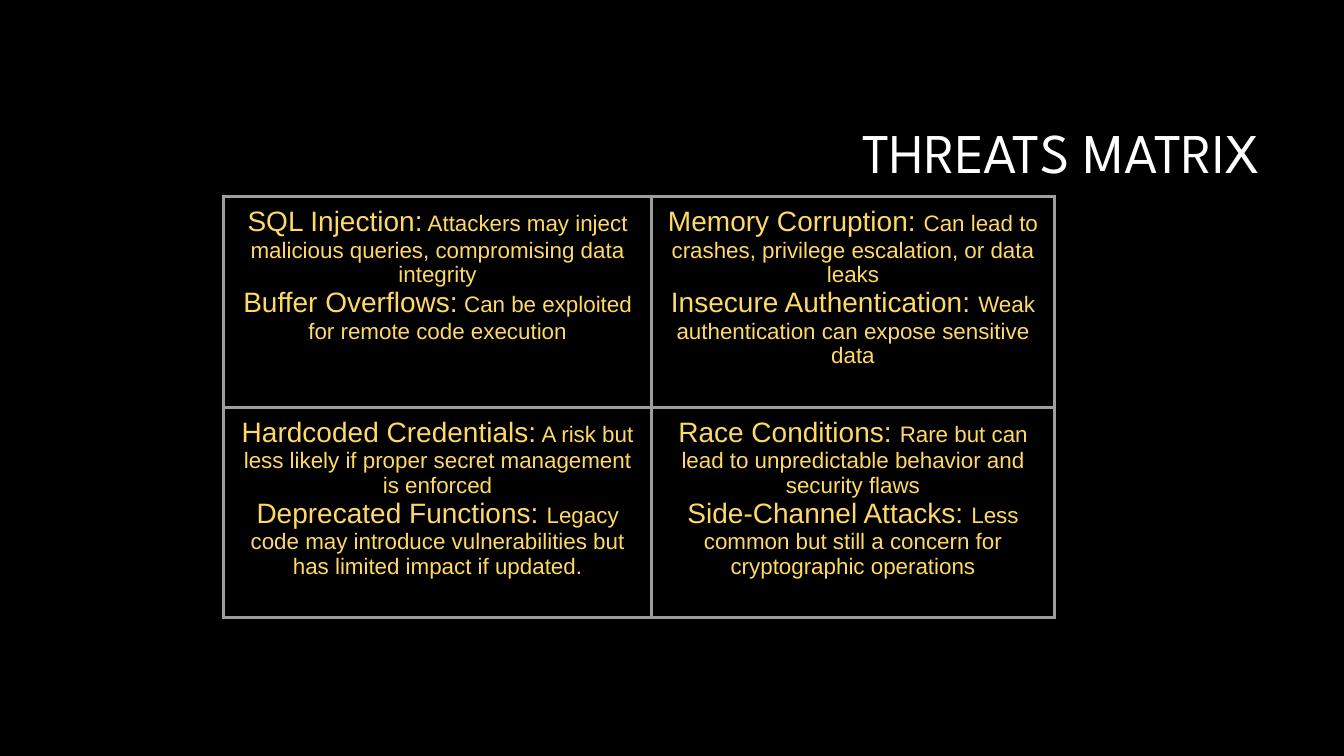
from lxml.etree import SubElement
from pptx import Presentation
from pptx.dml.color import RGBColor
from pptx.enum.text import MSO_ANCHOR, PP_ALIGN
from pptx.oxml.ns import qn
from pptx.util import Inches, Pt

BLACK, WHITE, GOLD, GREY = "000000", "FFFFFF", "FFD966", "9E9E9E"
COLUMN_WIDTHS = (4.24, 4)
ROW_HEIGHT = 2.09

# Each cell holds (threat, description) pairs.
THREATS = [
    [
        [("SQL Injection:",
          " Attackers may inject malicious queries, compromising data integrity"),
         ("Buffer Overflows:", " Can be exploited for remote code execution")],
        [("Memory Corruption: ",
          "Can lead to crashes, privilege escalation, or data leaks"),
         ("Insecure Authentication: ",
          "Weak authentication can expose sensitive data")],
    ],
    [
        [("Hardcoded Credentials:",
          " A risk but less likely if proper secret management is enforced"),
         ("Deprecated Functions: ",
          "Legacy code may introduce vulnerabilities but has limited impact if updated.")],
        [("Race Conditions: ",
          "Rare but can lead to unpredictable behavior and security flaws"),
         ("Side-Channel Attacks: ",
          "Less common but still a concern for cryptographic operations")],
    ],
]


def paint(fill, color):
    fill.solid()
    fill.fore_color.rgb = RGBColor.from_string(color)


def set_font(font, name, color):
    font.name = name
    font.color.rgb = RGBColor.from_string(color)


def set_title(page, text):
    title = page.shapes.title
    title.left, title.top = Inches(3.17), Inches(0.84)
    title.width, title.height = Inches(9.42), Inches(1.41)
    frame = title.text_frame
    frame.text = text
    frame.vertical_anchor = MSO_ANCHOR.MIDDLE
    para = frame.paragraphs[0]
    para.alignment = PP_ALIGN.RIGHT
    para.line_spacing = 0.9
    para.font.size = Pt(40)
    set_font(para.font, "League Spartan", WHITE)


def add_borders(cell, color, points):
    properties = cell._tc.get_or_add_tcPr()
    for side in ("a:lnL", "a:lnR", "a:lnT", "a:lnB"):
        line = SubElement(properties, qn(side), w=str(Pt(points)))
        solid = SubElement(line, qn("a:solidFill"))
        SubElement(solid, qn("a:srgbClr"), val=color)


def fill_cell(cell, threats):
    add_borders(cell, GREY, 2.25)
    paint(cell.fill, BLACK)
    cell.margin_left = cell.margin_right = Inches(0.1)
    cell.margin_top = cell.margin_bottom = Inches(0.1)
    frame = cell.text_frame
    for index, threat in enumerate(threats):
        para = frame.add_paragraph() if index else frame.paragraphs[0]
        para.alignment = PP_ALIGN.CENTER
        for text, size in zip(threat, (20, 16)):
            span = para.add_run()
            span.text = text
            span.font.size = Pt(size)
            set_font(span.font, "Arial", GOLD)


def add_matrix(page, rows):
    frame = page.shapes.add_table(
        len(rows), len(COLUMN_WIDTHS), Inches(2.22), Inches(1.95),
        Inches(sum(COLUMN_WIDTHS)), Inches(ROW_HEIGHT * len(rows)))
    table = frame.table
    table.first_row = table.horz_banding = False
    for column, width in zip(table.columns, COLUMN_WIDTHS):
        column.width = Inches(width)
    for row, contents in zip(table.rows, rows):
        row.height = Inches(ROW_HEIGHT)
        for cell, threats in zip(row.cells, contents):
            fill_cell(cell, threats)


def main():
    deck = Presentation()
    deck.slide_width, deck.slide_height = Inches(13.33), Inches(7.5)
    page = deck.slides.add_slide(deck.slide_layouts[5])
    paint(page.background.fill, BLACK)
    set_title(page, "THREATS MATRIX")
    add_matrix(page, THREATS)
    deck.save("out.pptx")


if __name__ == "__main__":
    main()
